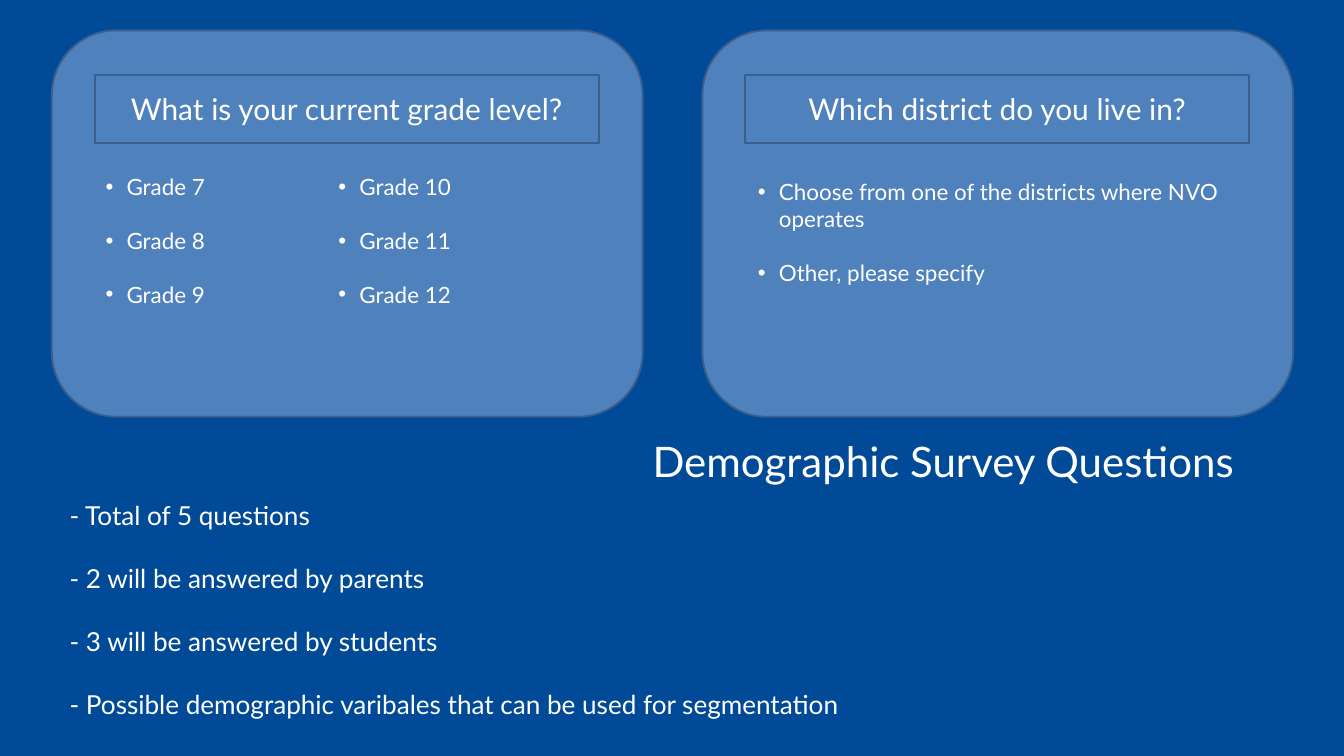
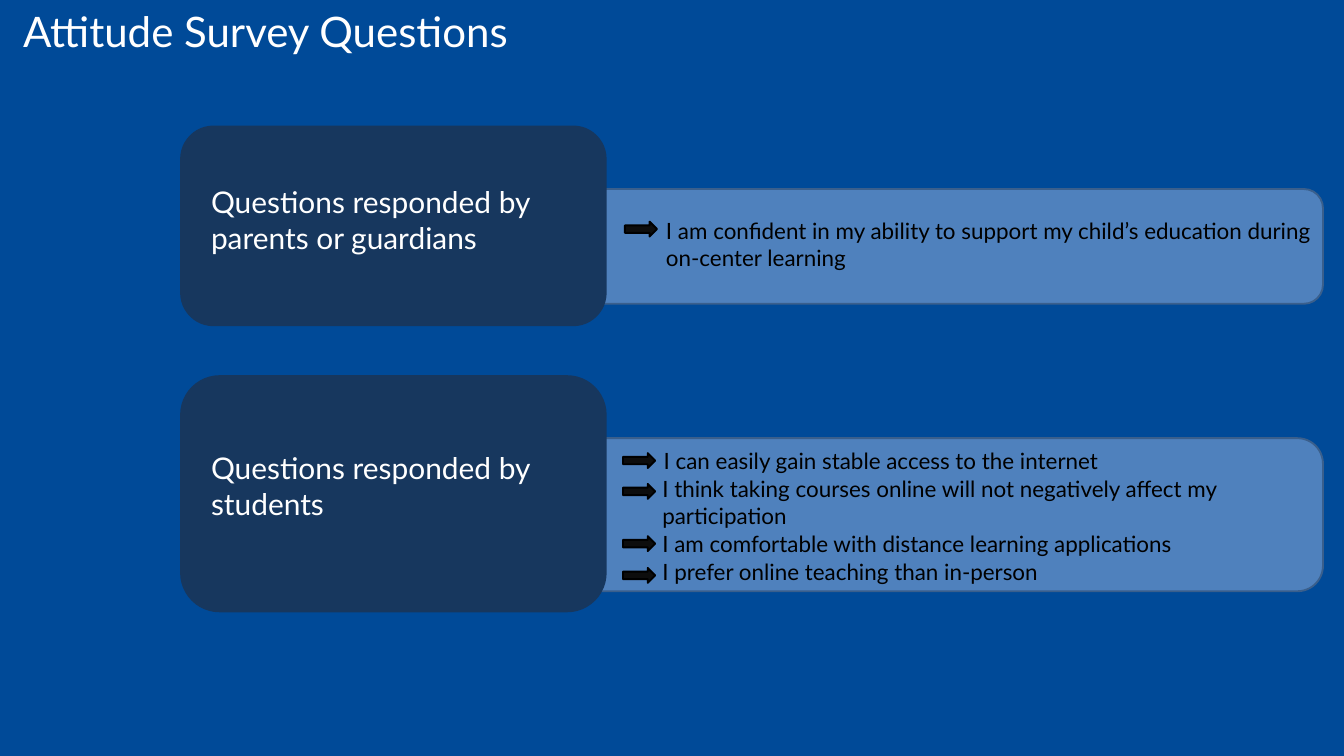
from lxml.etree import SubElement
from pptx import Presentation
from pptx.dml.color import RGBColor
from pptx.enum.shapes import MSO_SHAPE
from pptx.enum.text import MSO_ANCHOR, MSO_AUTO_SIZE, PP_ALIGN
from pptx.oxml.ns import qn
from pptx.util import Pt

COLORS = {
    "background": "004A98",
    "panel": "4F81BD",
    "outline": "3A5F8C",
    "card": "17375E",
    "arrow": "0D0D0D",
    "black": "000000",
    "white": "FFFFFF",
}
FONT = "Lato"
BULLET_INDENT = Pt(22.5)
LINE_HEIGHT = 1.2


def add_block(page, kind, place, fill, outline=None):
    block = page.shapes.add_shape(kind, *map(Pt, place))
    block.shadow.inherit = False
    block.fill.solid()
    block.fill.fore_color.rgb = RGBColor.from_string(COLORS[fill])
    if outline:
        block.line.color.rgb = RGBColor.from_string(COLORS[outline])
        block.line.width = Pt(2)
    else:
        block.line.fill.background()
    return block


def write_lines(box, lines, size, color="white", align=PP_ALIGN.LEFT, anchor=MSO_ANCHOR.TOP, bullet=False):
    frame = box.text_frame
    frame.word_wrap = True
    frame.auto_size = MSO_AUTO_SIZE.NONE
    frame.vertical_anchor = anchor
    for index, line in enumerate(lines):
        para = frame.add_paragraph() if index else frame.paragraphs[0]
        para.text = line
        para.alignment = align
        if index:
            para.space_before = Pt(size * LINE_HEIGHT)
        if bullet:
            properties = para._p.get_or_add_pPr()
            properties.set("marL", str(BULLET_INDENT))
            properties.set("indent", str(-BULLET_INDENT))
            SubElement(properties, qn("a:buFont")).set("typeface", "Arial")
            SubElement(properties, qn("a:buChar")).set("char", "•")
        para.font.name = FONT
        para.font.size = Pt(size)
        para.font.color.rgb = RGBColor.from_string(COLORS[color])


deck = Presentation()
deck.slide_width = Pt(1440)
deck.slide_height = Pt(810)
background = deck.slide_master.background.fill
background.solid()
background.fore_color.rgb = RGBColor.from_string(COLORS["background"])

pages = []
for title, left, top, width in [
    ("Demographic Survey Questions", 692, 463, 748),
    ("Attitude Survey Questions", 17.5, 2, 1000),
]:
    page = deck.slides.add_slide(deck.slide_layouts[5])
    heading = page.shapes.title
    heading.left, heading.top, heading.width, heading.height = map(Pt, (left, top, width, 62))
    write_lines(heading, [title], 45)
    pages.append(page)
demographics, attitudes = pages

questions = [
    (55.5, "What is your current grade level?", [
        (50.5, 182, 233, ["Grade 7", "Grade 8", "Grade 9"]),
        (300, 182, 279, ["Grade 10", "Grade 11", "Grade 12"]),
    ]),
    (752.5, "Which district do you live in?", [
        (52.5, 187.5, 533.5, ["Choose from one of the districts where NVO operates", "Other, please specify"]),
    ]),
]
for panel_left, question, answer_lists in questions:
    add_block(demographics, MSO_SHAPE.ROUNDED_RECTANGLE, (panel_left, 32.5, 633, 414), "panel", "outline")
    question_box = add_block(demographics, MSO_SHAPE.RECTANGLE, (panel_left + 46, 80, 540, 73.5), "panel", "outline")
    write_lines(question_box, [question], 32, align=PP_ALIGN.CENTER, anchor=MSO_ANCHOR.MIDDLE)
    for offset, top, width, answers in answer_lists:
        answer_box = demographics.shapes.add_textbox(Pt(panel_left + offset), Pt(top), Pt(width), Pt(153))
        write_lines(answer_box, answers, 24, bullet=True)

summary = demographics.shapes.add_textbox(Pt(67.5), Pt(532), Pt(1339), Pt(266))
write_lines(summary, [
    "- Total of 5 questions",
    "- 2 will be answered by parents",
    "- 3 will be answered by students",
    "- Possible demographic varibales that can be used for segmentation",
], 28)

groups = [
    ("Questions responded by parents or guardians", (134.5, 215), 193.5, (202.5, 123), [
        (706.5, 229, 669.5, 237.5, "I am confident in my ability to support my child’s education during on-center learning"),
    ]),
    ("Questions responded by students", (402, 254), 478, (469.5, 164), [
        (704, 476, 667.5, 485.5, "I can easily gain stable access to the internet"),
        (702.5, 505.5, 667.5, 518.5, "I think taking courses online will not negatively affect my participation"),
        (702.5, 564, 667.5, 574.5, "I am comfortable with distance learning applications"),
        (702.5, 594.5, 667.5, 608.5, "I prefer online teaching than in-person"),
    ]),
]
for label, (card_top, card_height), label_top, (panel_top, panel_height), statements in groups:
    add_block(attitudes, MSO_SHAPE.ROUNDED_RECTANGLE, (547, panel_top, 870.5, panel_height), "panel", "outline")
    add_block(attitudes, MSO_SHAPE.ROUNDED_RECTANGLE, (193, card_top, 457, card_height), "card")
    label_box = attitudes.shapes.add_textbox(Pt(219), Pt(label_top), Pt(411), Pt(85))
    write_lines(label_box, [label], 32)
    for text_left, text_top, arrow_left, arrow_top, statement in statements:
        statement_box = attitudes.shapes.add_textbox(Pt(text_left), Pt(text_top), Pt(1440 - text_left), Pt(36))
        write_lines(statement_box, [statement], 24, "black")
        add_block(attitudes, MSO_SHAPE.RIGHT_ARROW, (arrow_left, arrow_top, 34.5, 16), "arrow", "black")

deck.save("out.pptx")
